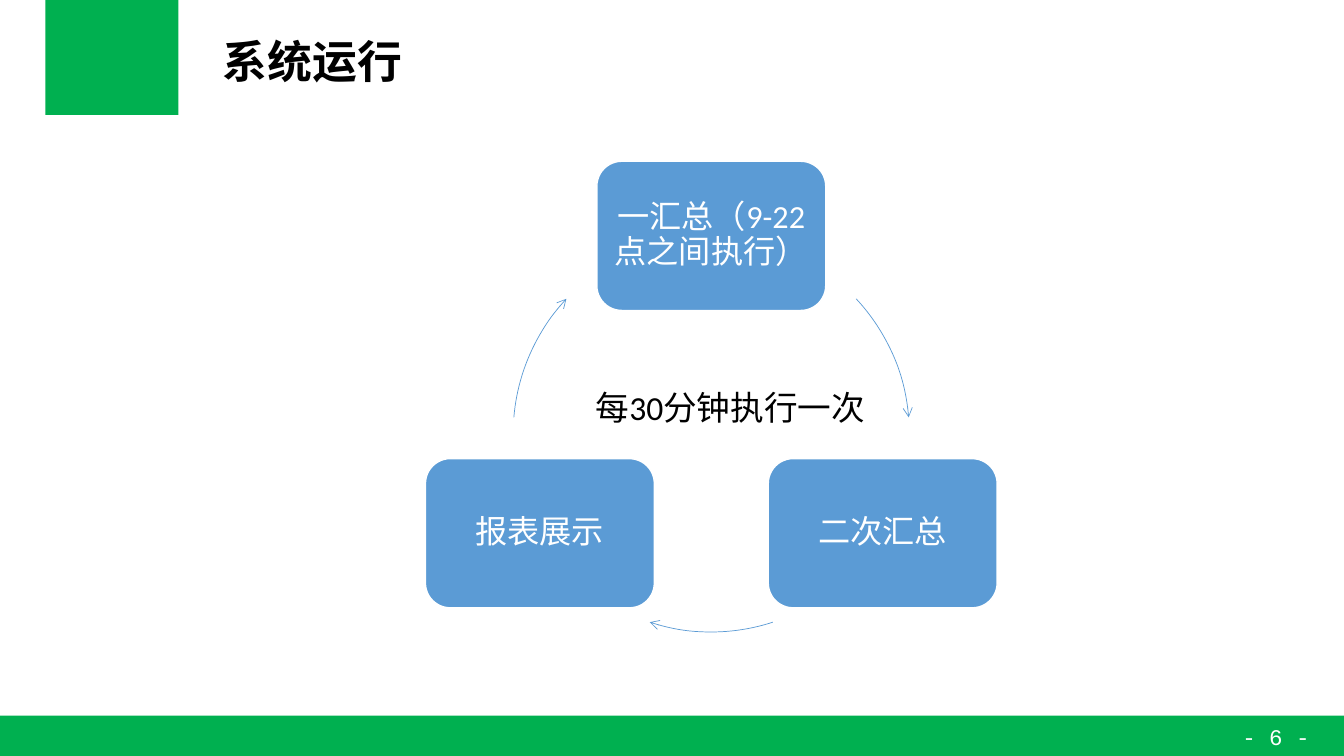
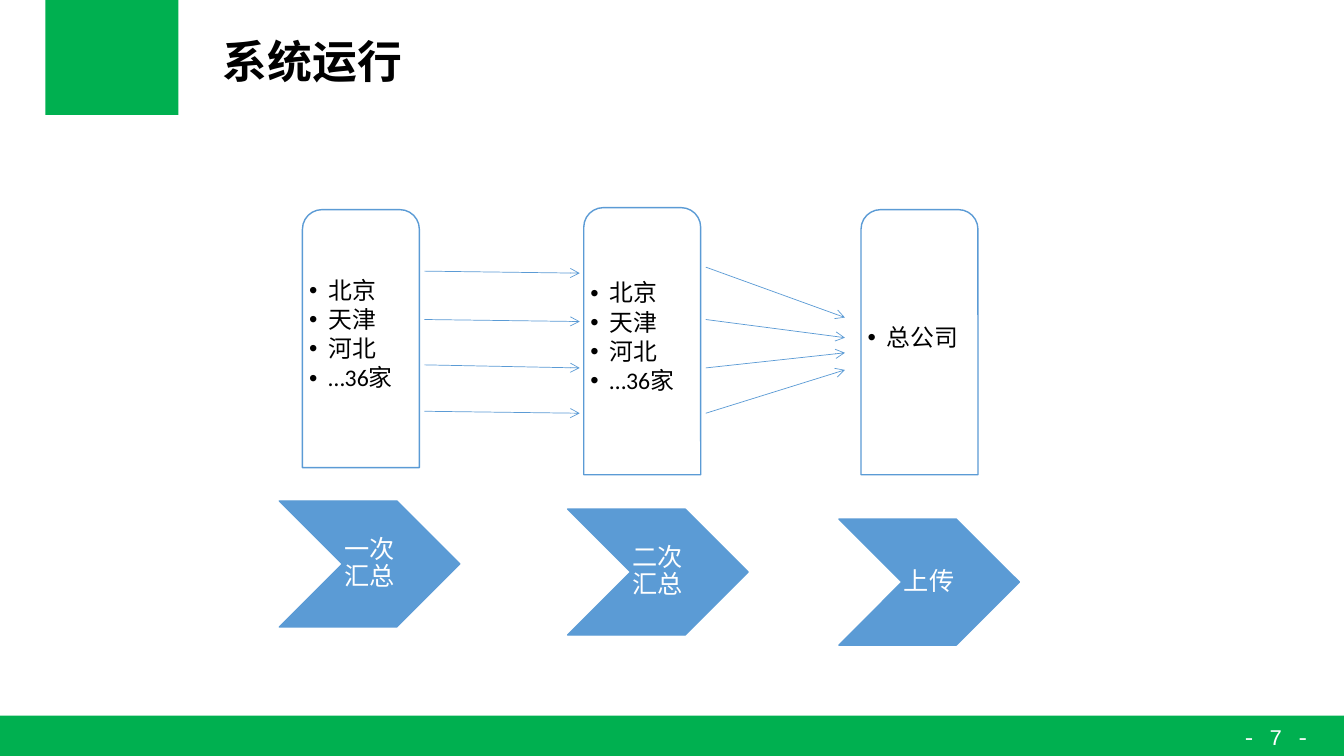
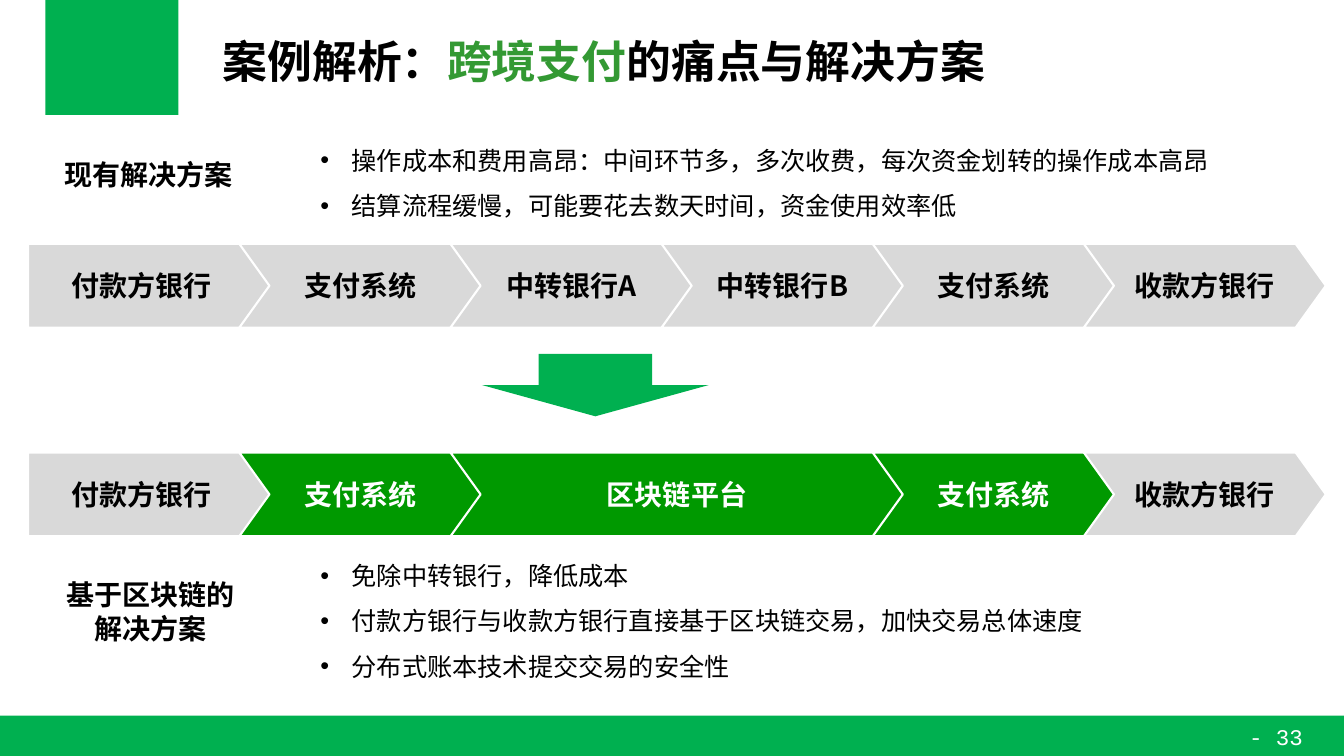
"""Build three slides on system operation and cross-border payment."""
from lxml import etree
from pptx import Presentation
from pptx import util as u
from pptx.dml import color as dml
from pptx.enum import shapes, text
from pptx.oxml import ns

COLORS = {"band": "00B050", "accent": "339933", "chain": "009900", "node": "5B9BD5",
          "grey": "D9D9D9", "white": "FFFFFF", "black": "000000"}
CJK = "Noto Sans CJK SC"
SHAPE = shapes.MSO_SHAPE
CENTER = text.PP_ALIGN.CENTER

TITLE = {"size": 32, "name": "Arial", "bold": True}
PAGE_NUMBER = {"size": 16, "name": "Courier New", "color": "white"}
NODE = {"size": 23, "name": "Calibri", "color": "white"}
CAPTION = {"size": 24, "name": "Calibri"}
STEP = {"size": 18, "name": "Calibri", "color": "white"}
BRANCH = {"size": 17, "name": "Calibri"}
POINT = {"size": 18, "name": "Calibri"}
LABEL = {"size": 20, "name": CJK, "bold": True}

TIGHT = {"line_spacing": 0.9}
TIGHT_CENTER = {"line_spacing": 0.9, "alignment": CENTER}
BRANCH_LIST = {"line_spacing": 0.9, "space_after": u.Pt(2.5)}
POINT_LIST = {"line_spacing": 1.5}


def rgb(name):
    return dml.RGBColor.from_string(COLORS[name])


def add_xml(parent, tag, **attributes):
    return etree.SubElement(parent, ns.qn(tag), attributes)


def add_bullet(para, indent):
    properties = para._p.get_or_add_pPr()
    properties.set("marL", str(u.Inches(indent)))
    properties.set("indent", str(-u.Inches(indent)))
    add_xml(properties, "a:buFont", typeface="Arial")
    add_xml(properties, "a:buChar", char="•")


def add_span(para, wording, style):
    span = para.add_run()
    span.text = wording
    values = {"color": "black", **style}
    span.font.color.rgb = rgb(values.pop("color"))
    values["size"] = u.Pt(values["size"])
    for key, value in values.items():
        setattr(span.font, key, value)
    add_xml(span._r.get_or_add_rPr(), "a:ea", typeface=CJK)


def write(frame, lines, style, layout=None, bullet=None, insets=(0.1, 0.05, 0.1, 0.05),
          anchor=text.MSO_ANCHOR.MIDDLE, wrap=True):
    """Fill a frame; each line is a string or a list of (wording, color)."""
    frame.word_wrap = wrap
    frame.vertical_anchor = anchor
    for side, inset in zip(("left", "top", "right", "bottom"), insets):
        setattr(frame, f"margin_{side}", u.Inches(inset))
    for index, line in enumerate(lines):
        para = frame.add_paragraph() if index else frame.paragraphs[0]
        for key, value in {"alignment": text.PP_ALIGN.LEFT, **(layout or {})}.items():
            setattr(para, key, value)
        if bullet:
            add_bullet(para, bullet)
        if isinstance(line, str):
            add_span(para, line, style)
        else:
            for wording, color in line:
                add_span(para, wording, {**style, "color": color})


def add_text(page, place, lines, style, anchor=text.MSO_ANCHOR.TOP, **options):
    box = page.shapes.add_textbox(*map(u.Inches, place))
    write(box.text_frame, lines, style, anchor=anchor, **options)


def add_box(page, kind, place, fill=None, line=None, width=1.0, adjust=()):
    box = page.shapes.add_shape(kind, *map(u.Inches, place))
    box.shadow.inherit = False
    for index, value in enumerate(adjust):
        box.adjustments[index] = value
    for paint, color in ((box.fill, fill), (box.line.fill, line)):
        if color:
            paint.solid()
            paint.fore_color.rgb = rgb(color)
        else:
            paint.background()
    if line:
        box.line.width = u.Pt(width)
    return box


def add_arrowhead(shape):
    add_xml(shape._element.spPr.get_or_add_ln(), "a:tailEnd", type="arrow")


def add_arrow(page, start, end):
    arrow = page.shapes.add_connector(shapes.MSO_CONNECTOR.STRAIGHT,
                                      *map(u.Inches, (*start, *end)))
    arrow.line.color.rgb = rgb("node")
    arrow.line.width = u.Pt(0.5)
    add_arrowhead(arrow)
    add_xml(arrow._element.spPr, "a:effectLst")


def add_arc(page, place, start, end):
    """Draw a clockwise arc arrow between two angles in degrees."""
    arc = add_box(page, SHAPE.ARC, place, line="node", width=0.5,
                  adjust=(start * 0.6, end * 0.6))
    add_arrowhead(arc)


def add_page(deck, title, number):
    page = deck.slides.add_slide(deck.slide_layouts[6])
    add_box(page, SHAPE.RECTANGLE, (0.45, 0, 1.32, 1.14), "band")
    add_box(page, SHAPE.RECTANGLE, (0, 7.1, 13.33, 0.4), "band")
    add_text(page, (12.18, 7.12, 0.95, 0.37), [f"- {number} -"], PAGE_NUMBER,
             layout={"alignment": CENTER})
    add_text(page, (2.11, 0.24, 10.49, 0.78), [title], TITLE, layout=TIGHT,
             anchor=text.MSO_ANCHOR.MIDDLE)
    return page


def add_cycle(page):
    nodes = (("一汇总（9-22点之间执行）", 5.92, 1.6), ("二次汇总", 7.62, 4.55),
             ("报表展示", 4.22, 4.55))
    for wording, left, top in nodes:
        node = add_box(page, SHAPE.ROUNDED_RECTANGLE, (left, top, 2.27, 1.48),
                       "node", "white")
        write(node.text_frame, [wording], NODE, TIGHT_CENTER, insets=(0.1,) * 4)
    for start, end in ((317, 355.2), (71.9, 108.1), (184.8, 223)):
        add_arc(page, (5.09, 2.34, 3.93, 3.93), start, end)
    add_text(page, (5.81, 3.79, 3.12, 0.5), ["每30分钟执行一次"], CAPTION)


def add_branches(page):
    branches = ["北京", "天津", "河北", "…36家"]
    columns = ((branches, 3, 2.08, 2.56), (branches, 5.79, 2.06, 2.65),
               (["总公司"], 8.54, 2.08, 2.63))
    for names, left, top, height in columns:
        column = add_box(page, SHAPE.ROUND_2_SAME_RECTANGLE, (left, top, 1.16, height),
                         "white", "node")
        write(column.text_frame, names, BRANCH, BRANCH_LIST, bullet=0.19,
              insets=(0.01, 0.01, 0.01, 0.13))
    for wording, left, top in (("一次汇总", 2.77, 4.97), ("二次汇总", 5.63, 5.05),
                               ("上传", 8.32, 5.15)):
        step = add_box(page, SHAPE.CHEVRON, (left, top, 1.79, 1.25), "node", "node")
        write(step.text_frame, [wording], STEP, TIGHT_CENTER, insets=(0.01,) * 4)
    flows = ((4.21, 5.75, ((2.69, 2.71), (3.17, 3.19), (3.62, 3.65), (4.08, 4.1))),
             (7, 8.38, ((2.65, 3.15), (3.17, 3.35), (3.65, 3.5), (4.1, 3.67))))
    for left, right, heights in flows:
        for start, end in heights:
            add_arrow(page, (left, start), (right, end))


def add_chain(page, top, links):
    """Draw a row of links, each (wording, columns spanned, fill, text color)."""
    pitch = (10.75 - 0.28) / 5
    column = 0
    for wording, columns, fill, color in links:
        kind = SHAPE.CHEVRON if column else SHAPE.PENTAGON
        place = (0.28 + column * pitch, top, 2.4 + (columns - 1) * pitch, 0.83)
        link = add_box(page, kind, place, fill, "white", 1.5, (0.36,))
        write(link.text_frame, [wording], {**LABEL, "color": color},
              {"alignment": CENTER}, insets=(0.11,) * 4, wrap=False)
        column += columns


def add_payment(page):
    grey, green = (1, "grey", "black"), (1, "chain", "white")
    payer, payee = ("付款方银行", *grey), ("收款方银行", *grey)
    add_chain(page, 2.42, (payer, ("支付系统", *grey), ("中转银行A", *grey),
                           ("中转银行B", *grey), ("支付系统", *grey), payee))
    add_chain(page, 4.49, (payer, ("支付系统", *green), ("区块链平台", 2, "chain", "white"),
                           ("支付系统", *green), payee))
    add_box(page, SHAPE.DOWN_ARROW, (4.78, 3.51, 2.25, 0.62), "band")
    add_text(page, (0.54, 1.51, 2, 0.44), ["现有解决方案"], LABEL)
    add_text(page, (0.49, 5.68, 2, 0.77), ["基于区块链的解决方案"], LABEL,
             layout={"alignment": CENTER})
    costs = ["操作成本和费用高昂：中间环节多，多次收费，每次资金划转的操作成本高昂",
             "结算流程缓慢，可能要花去数天时间，资金使用效率低"]
    gains = ["免除中转银行，降低成本",
             "付款方银行与收款方银行直接基于区块链交易，加快交易总体速度",
             "分布式账本技术提交交易的安全性"]
    for top, height, points in ((1.24, 1.01, costs), (5.36, 1.46, gains)):
        add_text(page, (3.08, top, 9.75, height), points, POINT,
                 layout=POINT_LIST, bullet=0.31)


def main():
    deck = Presentation()
    deck.slide_width, deck.slide_height = u.Inches(13.33), u.Inches(7.5)
    add_cycle(add_page(deck, "系统运行", 6))
    add_branches(add_page(deck, "系统运行", 7))
    payment_title = [("案例解析：", "black"), ("跨境支付", "accent"),
                     ("的痛点与解决方案", "black")]
    add_payment(add_page(deck, payment_title, 33))
    deck.save("out.pptx")


if __name__ == "__main__":
    main()
